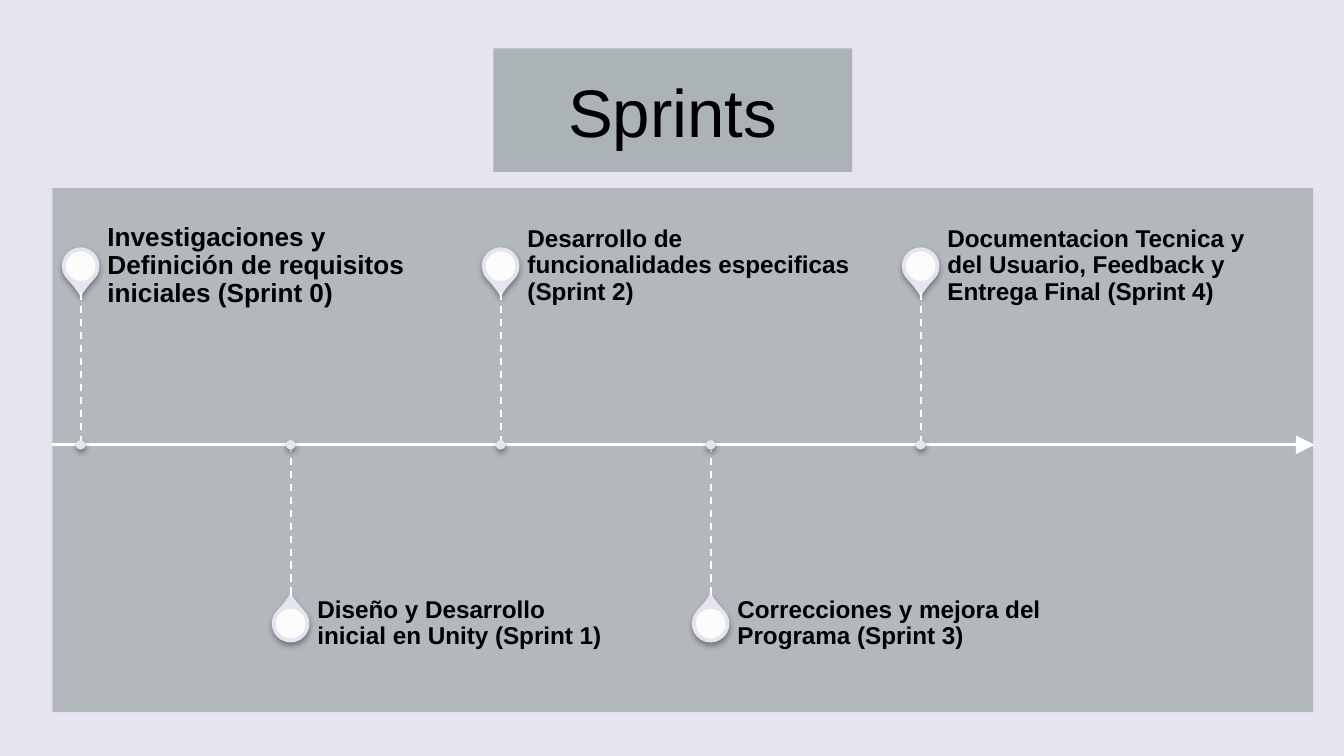
from lxml import etree
from pptx import Presentation
from pptx.dml.color import RGBColor
from pptx.enum.dml import MSO_LINE
from pptx.enum.shapes import MSO_CONNECTOR, MSO_SHAPE
from pptx.enum.text import MSO_ANCHOR, PP_ALIGN
from pptx.oxml.ns import qn
from pptx.util import Inches, Pt

RECT, OVAL, TEAR = MSO_SHAPE.RECTANGLE, MSO_SHAPE.OVAL, MSO_SHAPE.TEAR
STRAIGHT, DASH = MSO_CONNECTOR.STRAIGHT, MSO_LINE.DASH
MIDDLE, CENTER, LEFT = MSO_ANCHOR.MIDDLE, PP_ALIGN.CENTER, PP_ALIGN.LEFT
LAVENDER = RGBColor(0xE7, 0xE4, 0xF1)
GRAY = RGBColor(0xA6, 0xAE, 0xB0)
WHITE = RGBColor(0xFF, 0xFF, 0xFF)
BLACK = RGBColor(0x00, 0x00, 0x00)
NBSP = chr(160)

START, END, AXIS_Y = 0.6, 6.85, 3.31
PIN, HOLE, DOT = 0.28, 0.22, 0.07
SPRINTS = [
    ("Investigaciones y Definición de requisitos iniciales (Sprint 0)", 14),
    (f"Diseño y Desarrollo inicial{NBSP}en Unity (Sprint 1)", 13),
    (f"Desarrollo de funcionalidades{NBSP}especificas (Sprint 2)", 13),
    ("Correcciones y mejora del Programa (Sprint 3)", 13),
    ("Documentacion Tecnica y del Usuario, Feedback y Entrega Final (Sprint 4)", 13),
]
PITCH = (END - START) / (len(SPRINTS) - 1)


def paint(s, color, alpha=100, shadow=None):
    s.fill.solid()
    s.fill.fore_color.rgb = color
    s.line.fill.background()
    s.shadow.inherit = False
    if alpha < 100:
        clr = s._element.spPr.find(qn("a:solidFill"))[0]
        etree.SubElement(clr, qn("a:alpha"), val=str(alpha * 1000))
    if shadow:
        opacity, blur, dist = shadow
        effects = s._element.spPr.find(qn("a:effectLst"))
        outer = etree.SubElement(effects, qn("a:outerShdw"), blurRad=str(Pt(blur)),
                                 dist=str(Pt(dist)), dir="5400000", rotWithShape="0")
        clr = etree.SubElement(outer, qn("a:srgbClr"), val=str(BLACK))
        etree.SubElement(clr, qn("a:alpha"), val=str(opacity * 1000))


def add_line(x1, y1, x2, y2, width):
    c = shapes.add_connector(STRAIGHT, Inches(x1), Inches(y1), Inches(x2), Inches(y2))
    c.line.color.rgb = WHITE
    c.line.width = Pt(width)
    etree.SubElement(c._element.spPr, qn("a:effectLst"))
    return c


prs = Presentation()
prs.slide_width = Inches(10)
prs.slide_height = prs.slide_width * 9 // 16
slide = prs.slides.add_slide(prs.slide_layouts[5])
slide.background.fill.solid()
slide.background.fill.fore_color.rgb = LAVENDER
shapes = slide.shapes

panel = shapes.add_shape(RECT, Inches(0.39), Inches(1.4), Inches(9.38), Inches(3.9))
paint(panel, GRAY, 80)

title = shapes.title
box = {"left": 3.67, "top": 0.36, "width": 2.67, "height": 0.92}
for name, value in box.items():
    setattr(title, name, Inches(value))
paint(title, GRAY, 90)
tf = title.text_frame
tf.vertical_anchor = MIDDLE
p = tf.paragraphs[0]
p.alignment = CENTER
r = p.add_run()
r.text = "Sprints"
r.font.name, r.font.size = "Arial", Pt(36)
r.font.color.rgb = BLACK

axis = add_line(0.39, AXIS_Y, 9.78, AXIS_Y, 1.5)
ln = axis._element.spPr.find(qn("a:ln"))
etree.SubElement(ln, qn("a:tailEnd"), type="triangle", w="lg", len="lg")

for i, (label, size) in enumerate(SPRINTS):
    x = START + i * PITCH
    above = i % 2 == 0
    pin_y = 1.98 if above else 4.64

    pin = shapes.add_shape(TEAR, Inches(x - PIN / 2), Inches(pin_y - PIN / 2),
                           Inches(PIN), Inches(PIN))
    pin.adjustments[0] = 1.15
    pin.rotation = 135 if above else 315
    paint(pin, LAVENDER, shadow=(35, 3.1, 1.8))

    hole = shapes.add_shape(OVAL, Inches(x - HOLE / 2), Inches(pin_y - HOLE / 2),
                            Inches(HOLE), Inches(HOLE))
    paint(hole, WHITE, 90)

    tb = shapes.add_textbox(Inches(x + 0.2), Inches(pin_y - 0.2), Inches(2.6), Inches(0.4))
    tf = tb.text_frame
    frame = {"word_wrap": True, "vertical_anchor": MIDDLE, "margin_left": 0,
             "margin_top": 0, "margin_right": Inches(0.09), "margin_bottom": 0}
    for name, value in frame.items():
        setattr(tf, name, value)
    p = tf.paragraphs[0]
    p.alignment, p.line_spacing = LEFT, 0.9
    r = p.add_run()
    r.text = label
    for name, value in {"name": "Arial", "size": Pt(size), "bold": True}.items():
        setattr(r.font, name, value)
    r.font.color.rgb = BLACK

    top, bottom = (2.18, AXIS_Y) if above else (AXIS_Y, 4.44)
    stem = add_line(x, top, x, bottom, 1)
    stem.line.dash_style = DASH

    dot = shapes.add_shape(OVAL, Inches(x - DOT / 2), Inches(AXIS_Y - DOT / 2),
                           Inches(DOT), Inches(DOT))
    paint(dot, LAVENDER, shadow=(38, 3.1, 1.6))

prs.save("out.pptx")
